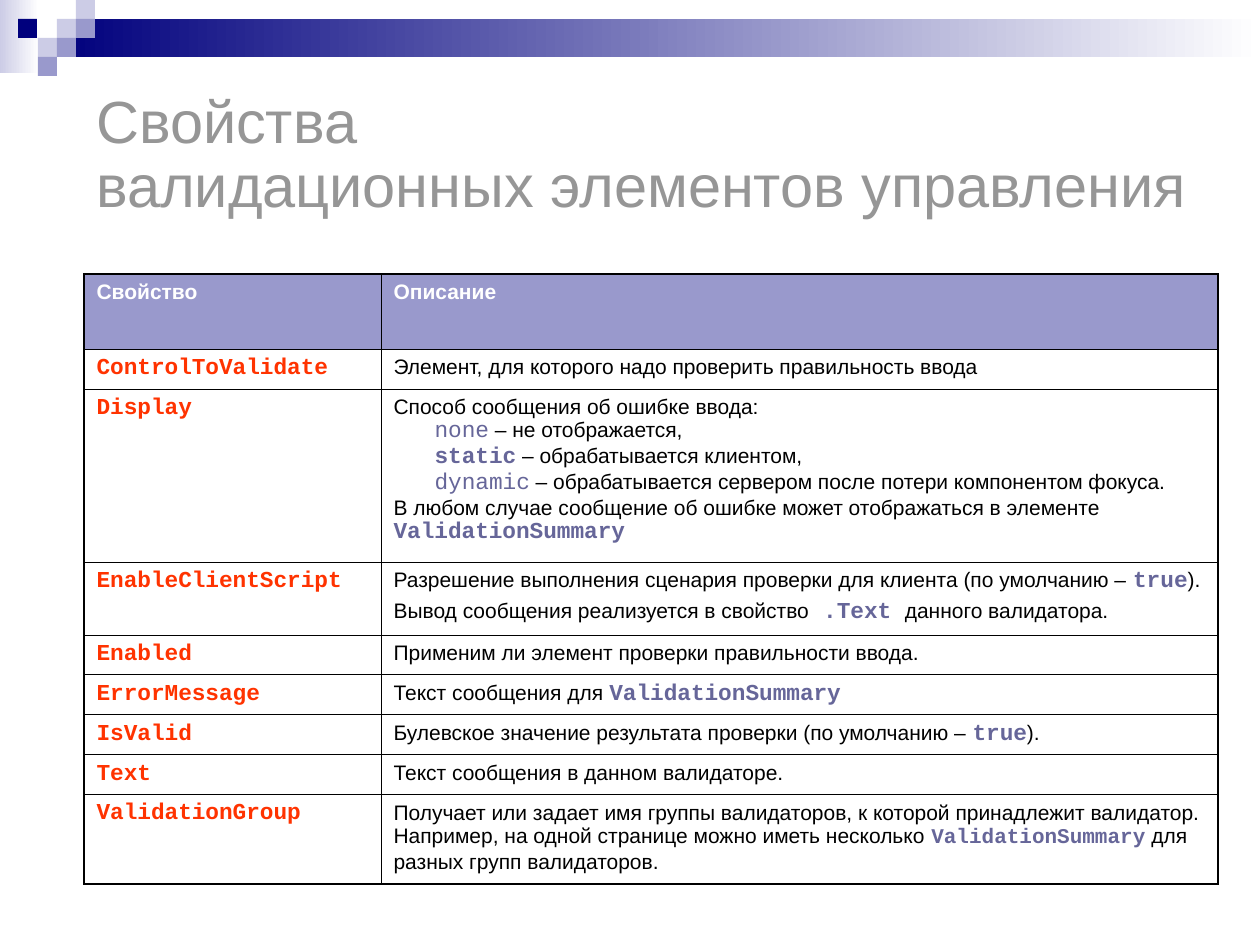
"""Build a slide with a table of validator control properties."""
from lxml import etree
from pptx import Presentation
from pptx.dml.color import RGBColor
from pptx.enum.shapes import MSO_SHAPE
from pptx.enum.text import MSO_ANCHOR
from pptx.oxml.ns import qn
from pptx.util import Pt

RECT = MSO_SHAPE.RECTANGLE
MIDDLE = MSO_ANCHOR.MIDDLE
PX = 914400 / 126
NAVY, LILAC, PALE, WHITE = "00007D", "9999CC", "CCCCE6", "FFFFFF"
BLACK, GRAY, RED, CODE = "000000", "969696", "FF3300", "666699"


def paint(fill, *tones):
    if len(tones) == 1:
        fill.solid()
        fill.fore_color.rgb = RGBColor.from_string(tones[0])
        return
    fill.gradient()
    fill.gradient_angle = 0
    for stop, tone in zip(fill.gradient_stops, tones):
        stop.color.rgb = RGBColor.from_string(tone)


def write(para, text, size=12, face="Arial", tone=BLACK, bold=False, mono=13):
    for i, part in enumerate(text.split("`")):
        if not part:
            continue
        run = para.add_run()
        run.text = part
        font = run.font
        code = i % 2 == 1
        font.size = Pt(mono if code else size)
        font.name = "Courier New" if code else face
        font.bold = part not in ("none", "dynamic") if code else bold
        paint(font.fill, CODE if code else tone)


deck = Presentation()
deck.slide_width, deck.slide_height = round(1260 * PX), round(945 * PX)
slide = deck.slides.add_slide(deck.slide_layouts[6])

blocks = [
    (0, 0, 39, 73, PALE, WHITE),
    (57, 19, 1203, 38, NAVY, WHITE),
    (57, 19, 19, 19, PALE),
    (76, 0, 19, 19, PALE),
    (76, 19, 19, 19, LILAC),
    (38, 38, 19, 19, PALE),
    (18, 19, 19, 19, NAVY),
    (57, 38, 19, 19, LILAC),
    (38, 57, 19, 19, LILAC),
]
for x, y, w, h, *tones in blocks:
    block = slide.shapes.add_shape(RECT, *(round(n * PX) for n in (x, y, w, h)))
    block.shadow.inherit = False
    block.line.fill.background()
    paint(block.fill, *tones)

title = slide.shapes.add_textbox(*(round(n * PX) for n in (84, 106, 1134, 100)))
frame = title.text_frame
frame.word_wrap = True
frame.vertical_anchor = MIDDLE
head = frame.paragraphs[0]
head.line_spacing = 0.9
write(head, "Свойства", size=34, tone=GRAY)
head.add_line_break()
write(head, "валидационных элементов управления", size=34, tone=GRAY)

rows = [
    ("Свойство", 75, ["Описание"]),
    ("ControlToValidate", 40, ["Элемент, для которого надо проверить правильность ввода"]),
    ("Display", 173, [
        "Способ сообщения об ошибке ввода:",
        "`none` – не отображается,",
        "`static` – обрабатывается клиентом,",
        "`dynamic` – обрабатывается сервером после потери компонентом фокуса.",
        "В любом случае сообщение об ошибке может отображаться в элементе `ValidationSummary`",
    ]),
    ("EnableClientScript", 73, [
        "Разрешение выполнения сценария проверки для клиента (по умолчанию – `true`).",
        "Вывод сообщения реализуется в свойство` .Text `данного валидатора.",
    ]),
    ("Enabled", 40, ["Применим ли элемент проверки правильности ввода."]),
    ("ErrorMessage", 40, ["Текст сообщения для `ValidationSummary`"]),
    ("IsValid", 40, ["Булевское значение результата проверки (по умолчанию – `true`)."]),
    ("Text", 40, ["Текст сообщения в данном валидаторе."]),
    ("ValidationGroup", 89, [
        "Получает или задает имя группы валидаторов, к которой принадлежит валидатор. "
        "Например, на одной странице можно иметь несколько `ValidationSummary` для "
        "разных групп валидаторов.",
    ]),
]
high = sum(row[1] for row in rows)
place = (round(n * PX) for n in (84, 274, 1134, high))
table = slide.shapes.add_table(len(rows), 2, *place).table
table.first_row = table.horz_banding = False
for col, w in zip(table.columns, (297, 837)):
    col.width = round(w * PX)

last = len(rows) - 1
for r, (name, h, lines) in enumerate(rows):
    table.rows[r].height = round(h * PX)
    for c, texts in enumerate(([name], lines)):
        cell = table.cell(r, c)
        if r == 0:
            look = {"tone": WHITE, "bold": True}
        elif c == 0:
            look = {"size": 13, "face": "Courier New", "tone": RED, "bold": True}
        else:
            look = {"mono": 12 if r == last else 13}
        for i, text in enumerate(texts):
            frame = cell.text_frame
            para = frame.add_paragraph() if i else frame.paragraphs[0]
            para.space_before = Pt(0 if c and name in ("Display", "Enabled") else 3)
            if text.startswith("`"):
                para._p.get_or_add_pPr().set("marL", str(round(41 * PX)))
            write(para, text, **look)
        props = cell._tc.get_or_add_tcPr()
        outer = {"lnL": c == 0, "lnR": c == 1, "lnT": r == 0, "lnB": r == last}
        for side, thick in outer.items():
            line = etree.SubElement(props, qn("a:" + side), w=str(Pt(1.08 if thick else 0.45)))
            solid = etree.SubElement(line, qn("a:solidFill"))
            etree.SubElement(solid, qn("a:srgbClr"), val=BLACK)
        if r == 0:
            paint(cell.fill, LILAC)
        else:
            cell.fill.background()

deck.save("out.pptx")
